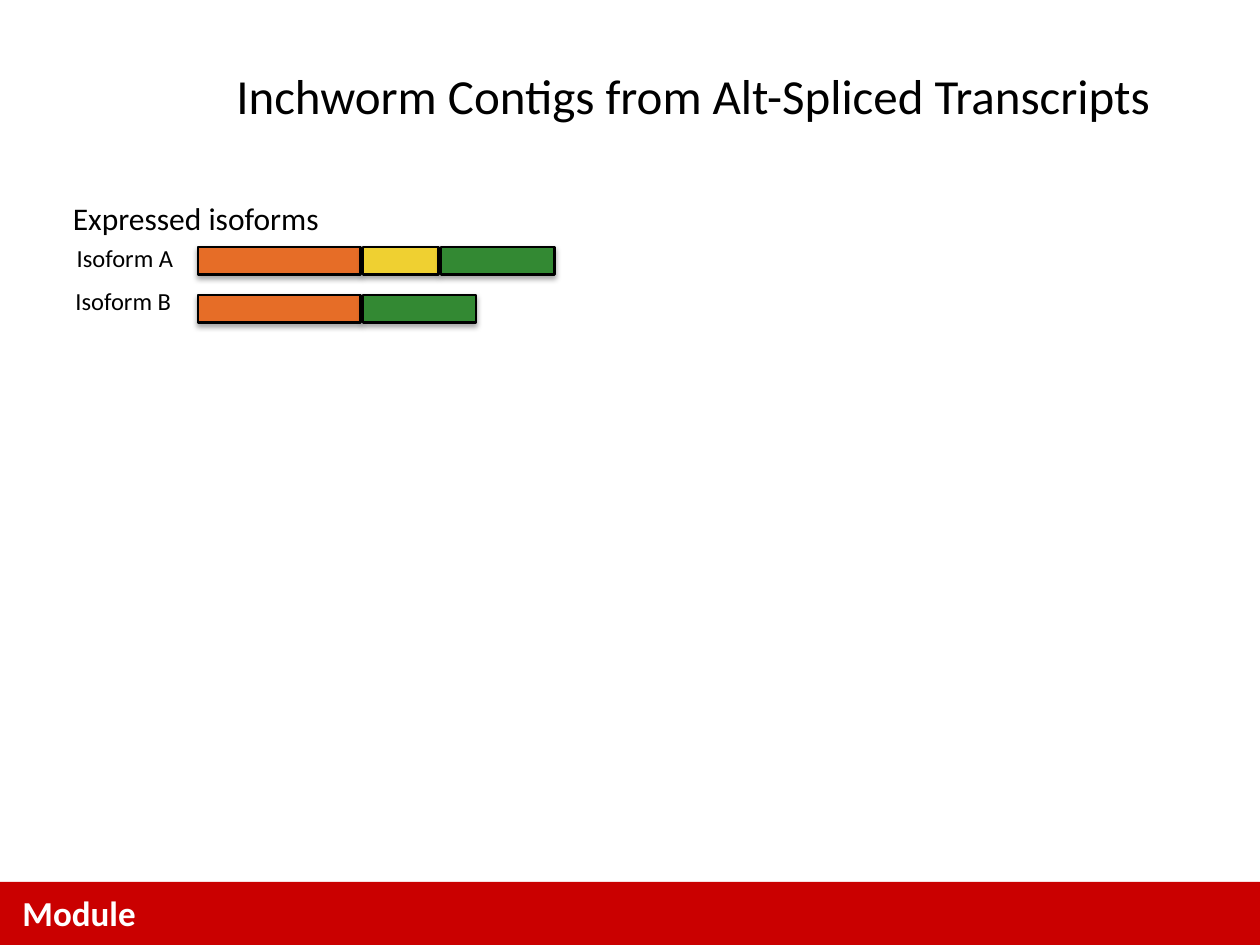
from dataclasses import dataclass

from lxml import etree
from pptx import Presentation
from pptx.dml.color import RGBColor
from pptx.enum.shapes import MSO_SHAPE
from pptx.enum.text import MSO_ANCHOR, MSO_AUTO_SIZE, PP_ALIGN
from pptx.oxml.ns import qn
from pptx.util import Inches, Pt

RECTANGLE = MSO_SHAPE.RECTANGLE
MIDDLE = MSO_ANCHOR.MIDDLE
FIT_SHAPE = MSO_AUTO_SIZE.SHAPE_TO_FIT_TEXT
NO_FIT = MSO_AUTO_SIZE.NONE
CENTER = PP_ALIGN.CENTER


@dataclass(frozen=True)
class Theme:
    font: str = "Calibri"
    black: RGBColor = RGBColor(0x00, 0x00, 0x00)
    white: RGBColor = RGBColor(0xFF, 0xFF, 0xFF)
    red: RGBColor = RGBColor(0xCA, 0x00, 0x00)
    orange: RGBColor = RGBColor(0xE6, 0x6D, 0x27)
    yellow: RGBColor = RGBColor(0xEF, 0xD0, 0x31)
    green: RGBColor = RGBColor(0x33, 0x89, 0x33)
    title: Pt = Pt(28)
    module: Pt = Pt(20)
    heading: Pt = Pt(18)
    label: Pt = Pt(14)


THEME = Theme()

# Exon name: (width in inches, colour)
EXONS = {
    "first": (1.29, THEME.orange),
    "skipped": (0.6, THEME.yellow),
    "last": (0.9, THEME.green),
}
EXON_LEFT, EXON_HEIGHT, EXON_GAP = 1.57, 0.22, 0.02

# Label, label left, label top, exon top, exons
ISOFORMS = [
    ("Isoform A", 0.51, 1.88, 1.96, ("first", "skipped", "last")),
    ("Isoform B", 0.5, 2.22, 2.34, ("first", "last")),
]


def style_font(paragraph, size, color=THEME.black, bold=False):
    paragraph.font.size = size
    paragraph.font.name = THEME.font
    paragraph.font.bold = bold
    paragraph.font.color.rgb = color


def add_title(slide, text):
    title = slide.shapes.title
    title.left, title.top = Inches(1), Inches(0.13)
    title.width, title.height = Inches(9), Inches(1.25)
    title.text_frame.text = text
    title.text_frame.vertical_anchor = MIDDLE
    title.text_frame.auto_size = NO_FIT
    paragraph = title.text_frame.paragraphs[0]
    paragraph.alignment = CENTER
    style_font(paragraph, THEME.title)


def add_text(shapes, left, top, width, height, text, wrap=False):
    box = shapes.add_textbox(Inches(left), Inches(top), Inches(width), Inches(height))
    box.text_frame.word_wrap = wrap
    box.text_frame.auto_size = FIT_SHAPE
    box.text_frame.text = text
    return box.text_frame.paragraphs[0]


def add_bar(shapes, left, top, width, height, color):
    bar = shapes.add_shape(
        RECTANGLE, Inches(left), Inches(top), Inches(width), Inches(height))
    bar.shadow.inherit = False
    bar.fill.solid()
    bar.fill.fore_color.rgb = color
    bar.line.fill.background()
    return bar


def add_drop_shadow(shape):
    effects = shape._element.spPr.find(qn("a:effectLst"))
    shadow = etree.SubElement(
        effects, qn("a:outerShdw"), blurRad=str(Pt(3.1)), dist=str(Pt(1.8)),
        dir="5400000", rotWithShape="0")
    color = etree.SubElement(shadow, qn("a:srgbClr"), val=str(THEME.black))
    etree.SubElement(color, qn("a:alpha"), val="35000")


def add_isoform(slide, label, label_left, label_top, exon_top, exon_names):
    transcript = slide.shapes.add_group_shape()
    left = EXON_LEFT
    for exon_name in exon_names:
        width, color = EXONS[exon_name]
        exon = add_bar(transcript.shapes, left, exon_top, width, EXON_HEIGHT, color)
        exon.line.color.rgb = THEME.black
        exon.line.width = Pt(1.5)
        add_drop_shadow(exon)
        left += width + EXON_GAP
    style_font(add_text(slide.shapes, label_left, label_top, 0.98, 0.34, label),
               THEME.label)


def add_footer(slide):
    footer = slide.shapes.add_group_shape().shapes
    add_bar(footer, 0, 7, 10, 0.5, THEME.red)
    module = add_text(footer, 0.08, 7.03, 7.33, 0.43, "Module", wrap=True)
    style_font(module, THEME.module, THEME.white, bold=True)


def main():
    deck = Presentation()
    deck.slide_width, deck.slide_height = Inches(10), Inches(7.5)
    slide = deck.slides.add_slide(deck.slide_layouts[5])

    add_title(slide, "Inchworm Contigs from Alt-Spliced Transcripts")

    # Isoforms under their heading
    for isoform in ISOFORMS:
        add_isoform(slide, *isoform)
    heading = add_text(slide.shapes, 0.48, 1.53, 2.18, 0.4, "Expressed isoforms")
    style_font(heading, THEME.heading)

    # Module band along the bottom
    add_footer(slide)
    deck.save("out.pptx")


if __name__ == "__main__":
    main()
